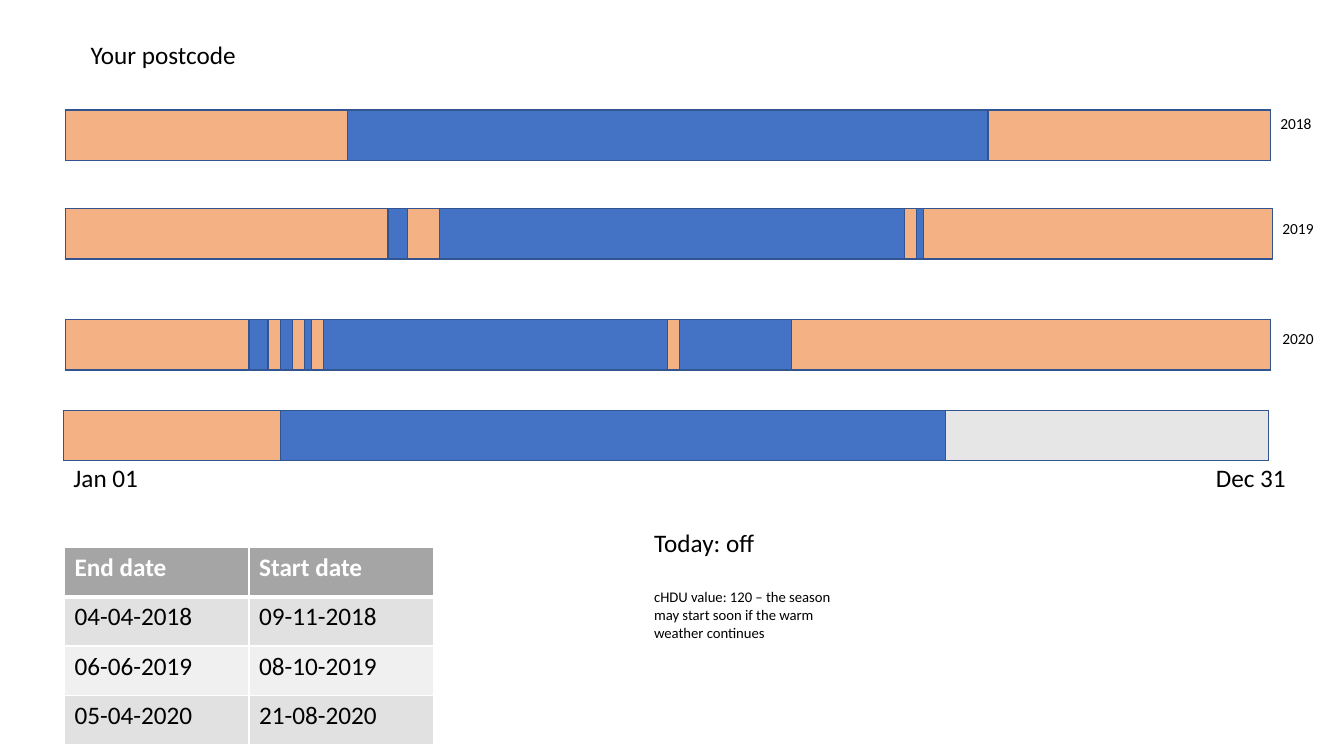
import lxml.etree
import pptx
import pptx.dml.color
import pptx.enum.shapes
import pptx.oxml.ns
import pptx.util

Inches = pptx.util.Inches
Pt = pptx.util.Pt

COLORS = {
    "off": "4472C4", "heating": "F4B183", "future": "E7E6E6", "outline": "325491",
    "header": "A5A5A5", "odd": "E1E1E1", "even": "F0F0F0",
    "text": "000000", "white": "FFFFFF",
}
FONT = "Calibri"
BAR_WIDTH, BAR_HEIGHT = 11.95, 0.5

# Bar left and top, then its periods as (offset from bar left, width, kind)
YEAR_BARS = [
    (0.65, 1.09, [(0, 2.8, "heating"), (9.15, 2.8, "heating")]),
    (0.65, 2.07, [(0, 3.2, "heating"), (3.39, 0.32, "heating"),
                  (8.32, 0.12, "heating"), (8.51, 3.46, "heating")]),
    (0.65, 3.17, [(0, 1.82, "heating"), (2.01, 0.12, "heating"), (2.25, 0.12, "heating"),
                  (2.44, 0.12, "heating"), (5.97, 0.12, "heating"), (7.2, 4.75, "heating")]),
    (0.63, 4.07, [(0, 2.15, "heating"), (8.75, 3.2, "future")]),
]
# Text, left, top, width, height, size
LABELS = [
    ("Your postcode", 0.8, 0.34, 2.3, 0.4, 18),
    ("2018", 12.6, 1.08, 0.7, 0.29, 11),
    ("2019", 12.62, 2.12, 0.7, 0.29, 11),
    ("2020", 12.62, 3.22, 0.7, 0.29, 11),
    ("Jan 01", 0.63, 4.54, 0.92, 0.4, 18),
    ("Dec 31", 11.96, 4.54, 0.92, 0.4, 18),
]
SEASON_DATES = [
    ("End date", "Start date"),
    ("04-04-2018", "09-11-2018"),
    ("06-06-2019", "08-10-2019"),
    ("05-04-2020", "21-08-2020"),
]


def rgb(name):
    """Return the named colour."""
    return pptx.dml.color.RGBColor.from_string(COLORS[name])


def add_run(paragraph, text, size, color="text", bold=False):
    """Add a formatted run to a paragraph."""
    run = paragraph.add_run()
    run.text = text
    run.font.name = FONT
    run.font.size = Pt(size)
    run.font.bold = bold
    run.font.color.rgb = rgb(color)


def add_text_box(slide, left, top, width, height):
    """Add a wrapping text box and return its text frame."""
    box = slide.shapes.add_textbox(Inches(left), Inches(top), Inches(width), Inches(height))
    box.text_frame.word_wrap = True
    return box.text_frame


def add_label(slide, text, left, top, width, height, size):
    """Add a one-line label."""
    frame = add_text_box(slide, left, top, width, height)
    add_run(frame.paragraphs[0], text, size)


def add_period(slide, left, top, width, kind):
    """Add one outlined rectangle in the colour of its kind."""
    shape = slide.shapes.add_shape(
        pptx.enum.shapes.MSO_SHAPE.RECTANGLE,
        Inches(left), Inches(top), Inches(width), Inches(BAR_HEIGHT))
    shape.shadow.inherit = False
    shape.fill.solid()
    shape.fill.fore_color.rgb = rgb(kind)
    shape.line.color.rgb = rgb("outline")
    shape.line.width = Pt(1)


def add_year_bar(slide, left, top, periods):
    """Add a full-year bar with its periods on top."""
    add_period(slide, left, top, BAR_WIDTH, "off")
    for offset, width, kind in periods:
        add_period(slide, left + offset, top, width, kind)


def set_borders(cell, bottom_width):
    """Give a cell white borders."""
    properties = cell._tc.get_or_add_tcPr()
    widths = {"lnL": 1, "lnR": 1, "lnT": 1, "lnB": bottom_width}
    for index, (side, width) in enumerate(widths.items()):
        line = lxml.etree.Element(pptx.oxml.ns.qn("a:" + side), w=str(Pt(width)))
        fill = lxml.etree.SubElement(line, pptx.oxml.ns.qn("a:solidFill"))
        lxml.etree.SubElement(fill, pptx.oxml.ns.qn("a:srgbClr"), val=COLORS["white"])
        properties.insert(index, line)


def add_season_table(slide, left, top, width, height):
    """Add the table of season end and start dates."""
    row_count, column_count = len(SEASON_DATES), len(SEASON_DATES[0])
    table = slide.shapes.add_table(
        row_count, column_count,
        Inches(left), Inches(top), Inches(width), Inches(height)).table
    for row_index, dates in enumerate(SEASON_DATES):
        is_header = row_index == 0
        fill = "header" if is_header else ("odd" if row_index % 2 else "even")
        for column_index, text in enumerate(dates):
            cell = table.cell(row_index, column_index)
            cell.fill.solid()
            cell.fill.fore_color.rgb = rgb(fill)
            set_borders(cell, 3 if is_header else 1)
            add_run(cell.text_frame.paragraphs[0], text, 18,
                    "white" if is_header else "text", is_header)


def add_status(slide, left, top, width, height):
    """Add today's state and the note below it."""
    frame = add_text_box(slide, left, top, width, height)
    add_run(frame.paragraphs[0], "Today: off", 18)
    note = frame.add_paragraph()
    note.space_before = Pt(22)
    add_run(note, "cHDU value: 120 – the season may start soon "
                  "if the warm weather continues", 10.5)


def build_season_slide(presentation):
    """Build the slide of heating seasons by year."""
    slide = presentation.slides.add_slide(presentation.slide_layouts[6])
    for bar in YEAR_BARS:
        add_year_bar(slide, *bar)
    for label in LABELS:
        add_label(slide, *label)
    add_season_table(slide, 0.64, 5.43, 3.66, 1.96)
    add_status(slide, 6.39, 5.18, 2.2, 1.24)


presentation = pptx.Presentation()
presentation.slide_width = Inches(13.33)
presentation.slide_height = Inches(7.5)
build_season_slide(presentation)
presentation.save("out.pptx")
